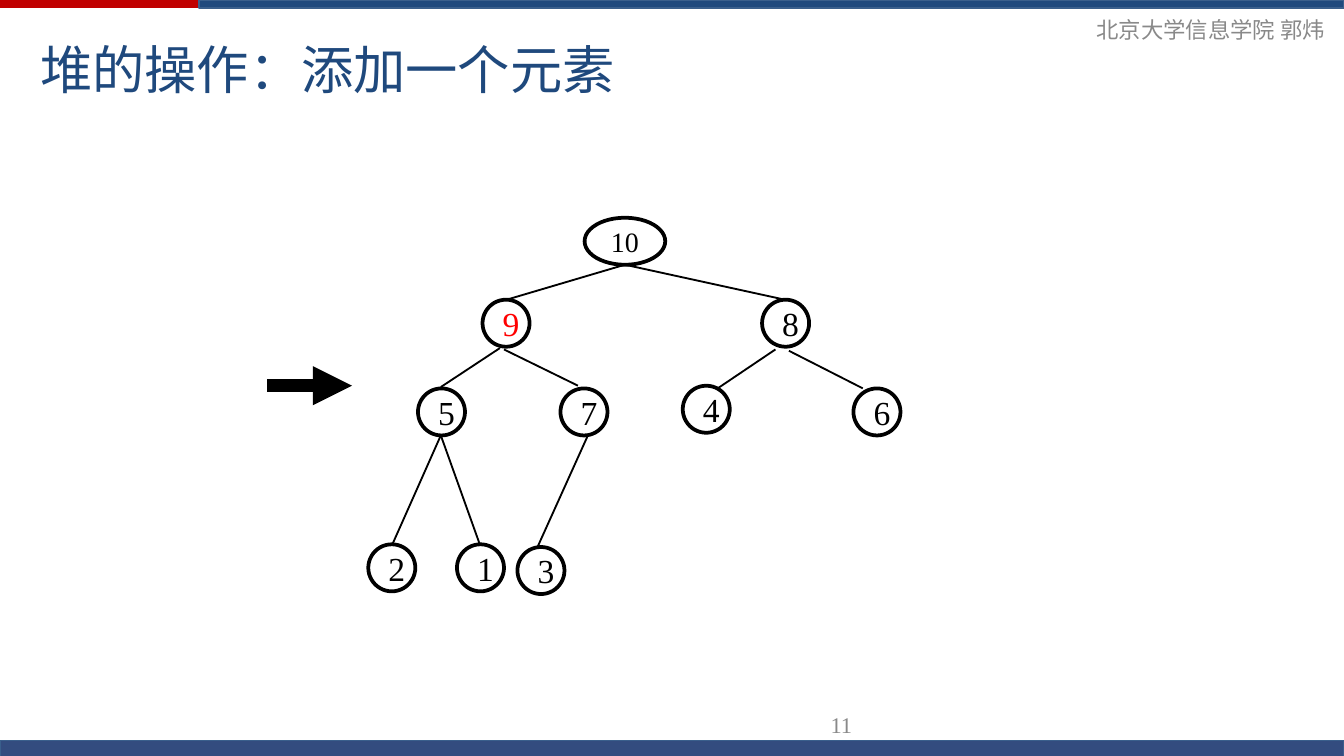
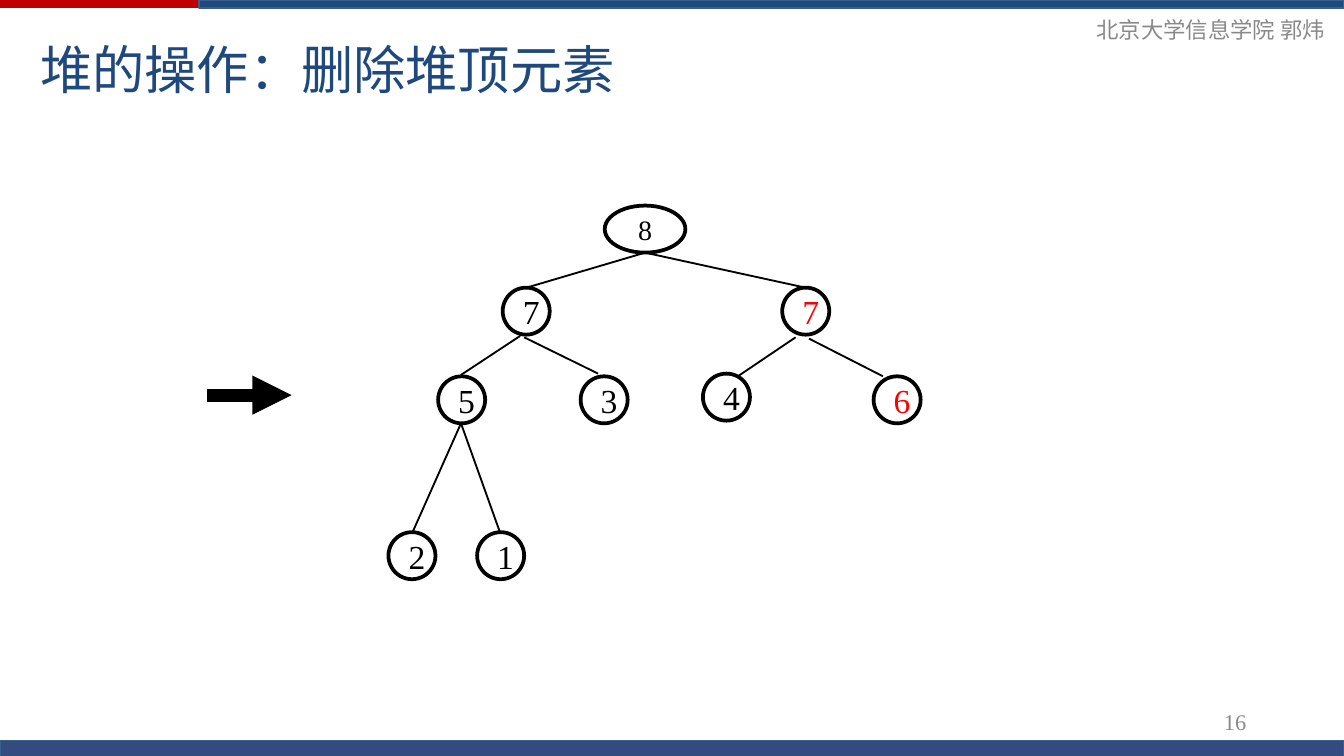
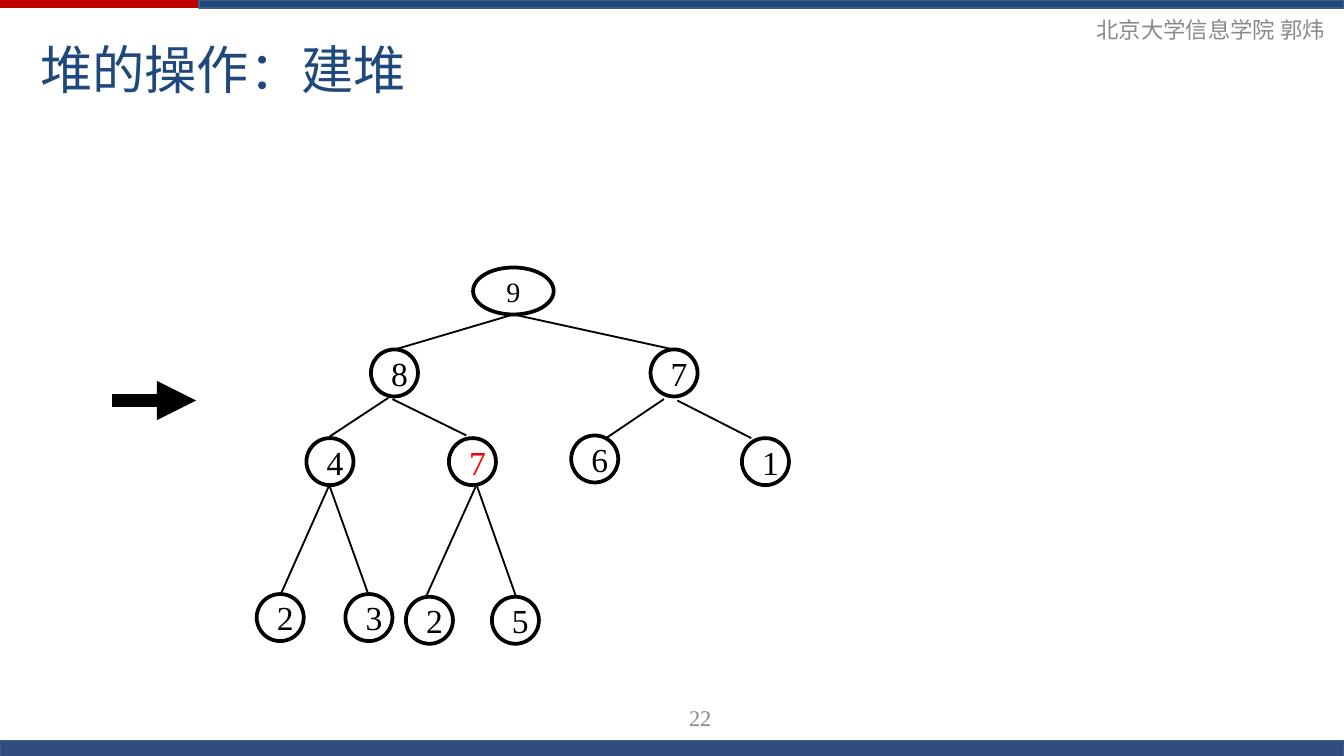
from dataclasses import dataclass

from lxml.etree import SubElement
from pptx import Presentation
from pptx.dml.color import RGBColor
from pptx.enum.shapes import MSO_CONNECTOR, MSO_SHAPE
from pptx.enum.text import MSO_ANCHOR, PP_ALIGN
from pptx.oxml.ns import qn
from pptx.util import Inches, Pt

# Content: heap values in level order, root's top left corner, arrow start
AUTHOR = "北京大学信息学院 郭炜"
SLIDES = [
    dict(title="堆的操作：添加一个元素", number="11", number_at=(5.84, 5.24),
         heap=[10, 9, 8, 5, 7, 4, 6, 2, 1, 3], red={1},
         root=(4.35, 1.62), arrow=(1.99, 2.87)),
    dict(title="堆的操作：删除堆顶元素", number="16", number_at=(8.77, 5.22),
         heap=[8, 7, 7, 5, 3, 4, 6, 2, 1], red={2, 6},
         root=(4.5, 1.53), arrow=(1.54, 2.94)),
    dict(title="堆的操作：建堆", number="22", number_at=(4.79, 5.19),
         heap=[9, 8, 7, 4, 7, 6, 1, 2, 3, 2, 5], red={4},
         root=(3.52, 1.99), arrow=(0.83, 2.98)),
]

# Tree layout, relative to the root's top left corner
NODES = [(0, 0), (-0.76, 0.61), (1.32, 0.61),
         (-1.24, 1.27), (-0.18, 1.27), (0.73, 1.25), (2, 1.27),
         (-1.61, 2.43), (-0.95, 2.43), (-0.5, 2.45), (0.14, 2.45)]
# The edge above each node but the root: parent end, child end
EDGES = [((0.3, 0.35), (-0.58, 0.61)), ((0.3, 0.35), (1.49, 0.61)),
         ((-0.63, 0.97), (-1.07, 1.26)), ((-0.6, 0.98), (-0.05, 1.25)),
         ((1.42, 0.98), (0.99, 1.27)), ((1.52, 0.99), (2.07, 1.27)),
         ((-1.07, 1.62), (-1.43, 2.43)), ((-1.07, 1.62), (-0.78, 2.43)),
         ((0.02, 1.63), (-0.35, 2.45)), ((0.03, 1.63), (0.32, 2.45))]
NODE_SIZE, ROOT_WIDTH, ARROW_LENGTH = 0.35, 0.6, 0.63


@dataclass(frozen=True)
class Theme:
    title_font: str = "Arial"
    text_font: str = "Times New Roman"
    title: int = 28
    node: int = 18
    root: int = 15
    small: int = 12
    blue: str = "1F497D"
    outline: str = "3A5F8C"
    navy: str = "002060"
    crimson: str = "C00000"
    grey: str = "898989"
    black: str = "000000"
    red: str = "FF0000"


T = Theme()


def rgb(color):
    return RGBColor.from_string(color)


def write(sp, text, size, color, align, font=T.text_font):
    tf = sp.text_frame
    tf.word_wrap = True
    tf.vertical_anchor = MSO_ANCHOR.MIDDLE
    p = tf.paragraphs[0]
    p.alignment = align
    r = p.add_run()
    r.text = text
    r.font.name, r.font.size = font, Pt(size)
    r.font.color.rgb = rgb(color)


def add_label(s, box, text, align):
    sp = s.shapes.add_textbox(*map(Inches, box))
    write(sp, text, T.small, T.grey, align)
    return sp


def add_band(s, box, fill, line=None):
    sp = s.shapes.add_shape(MSO_SHAPE.RECTANGLE, *map(Inches, box))
    sp.shadow.inherit = False
    sp.fill.solid()
    sp.fill.fore_color.rgb = rgb(fill)
    if line:
        sp.line.color.rgb = rgb(line)
        sp.line.width = Pt(0)
    else:
        sp.line.fill.background()
    return sp


def add_line(s, start, end, width):
    c = s.shapes.add_connector(MSO_CONNECTOR.STRAIGHT,
                               *map(Inches, (*start, *end)))
    c.line.color.rgb = rgb(T.black)
    c.line.width = Pt(width)
    SubElement(c.element.spPr, qn("a:effectLst"))
    return c


def add_arrow(s, x, y):
    c = add_line(s, (x, y), (x + ARROW_LENGTH, y), 7)
    SubElement(c.element.spPr.find(qn("a:ln")), qn("a:tailEnd"),
               type="triangle")


def add_node(s, x, y, value, is_root, is_red):
    width = ROOT_WIDTH if is_root else NODE_SIZE
    sp = s.shapes.add_shape(MSO_SHAPE.OVAL,
                            *map(Inches, (x, y, width, NODE_SIZE)))
    sp.shadow.inherit = False
    sp.fill.background()
    sp.line.color.rgb = rgb(T.black)
    sp.line.width = Pt(2)
    write(sp, str(value), T.root if is_root else T.node,
          T.red if is_red else T.black, PP_ALIGN.CENTER)


def add_heap(s, values, red, root):
    def place(point):
        return root[0] + point[0], root[1] + point[1]

    for start, end in EDGES[:len(values) - 1]:
        add_line(s, place(start), place(end), 1)
    for i, (value, node) in enumerate(zip(values, NODES)):
        add_node(s, *place(node), value, i == 0, i in red)


def decorate_master(prs, s):
    """Draw the bands and author line, then move them to the master."""
    footer = add_band(s, (0, 5.51, 10, 0.12), T.navy, T.outline)
    color = footer.element.spPr.find(qn("a:solidFill"))[0]
    SubElement(color, qn("a:alpha"), val="80000")
    parts = [
        add_band(s, (0, 0, 10, 0.06), T.crimson),
        add_band(s, (1.48, 0, 8.52, 0.06), T.blue, T.outline),
        footer,
        add_label(s, (7.63, 0.07, 2.33, 0.3), AUTHOR, PP_ALIGN.RIGHT),
    ]
    for sp in parts:
        prs.slide_master.shapes.element.append(sp.element)


def add_slide(prs, content):
    s = prs.slides.add_slide(prs.slide_layouts[5])
    title = s.shapes.title
    title.left, title.top, title.width, title.height = map(
        Inches, (0.2, 0.14, 9, 0.74))
    write(title, content["title"], T.title, T.blue, PP_ALIGN.LEFT, T.title_font)
    add_label(s, (*content["number_at"], 0.84, 0.3), content["number"],
              PP_ALIGN.CENTER)
    add_heap(s, content["heap"], content["red"], content["root"])
    add_arrow(s, *content["arrow"])
    return s


def main():
    prs = Presentation()
    # Widescreen, 16 to 9
    prs.slide_width = Inches(10)
    prs.slide_height = prs.slide_width * 9 // 16
    slides = [add_slide(prs, content) for content in SLIDES]
    decorate_master(prs, slides[0])
    prs.save("out.pptx")


if __name__ == "__main__":
    main()
